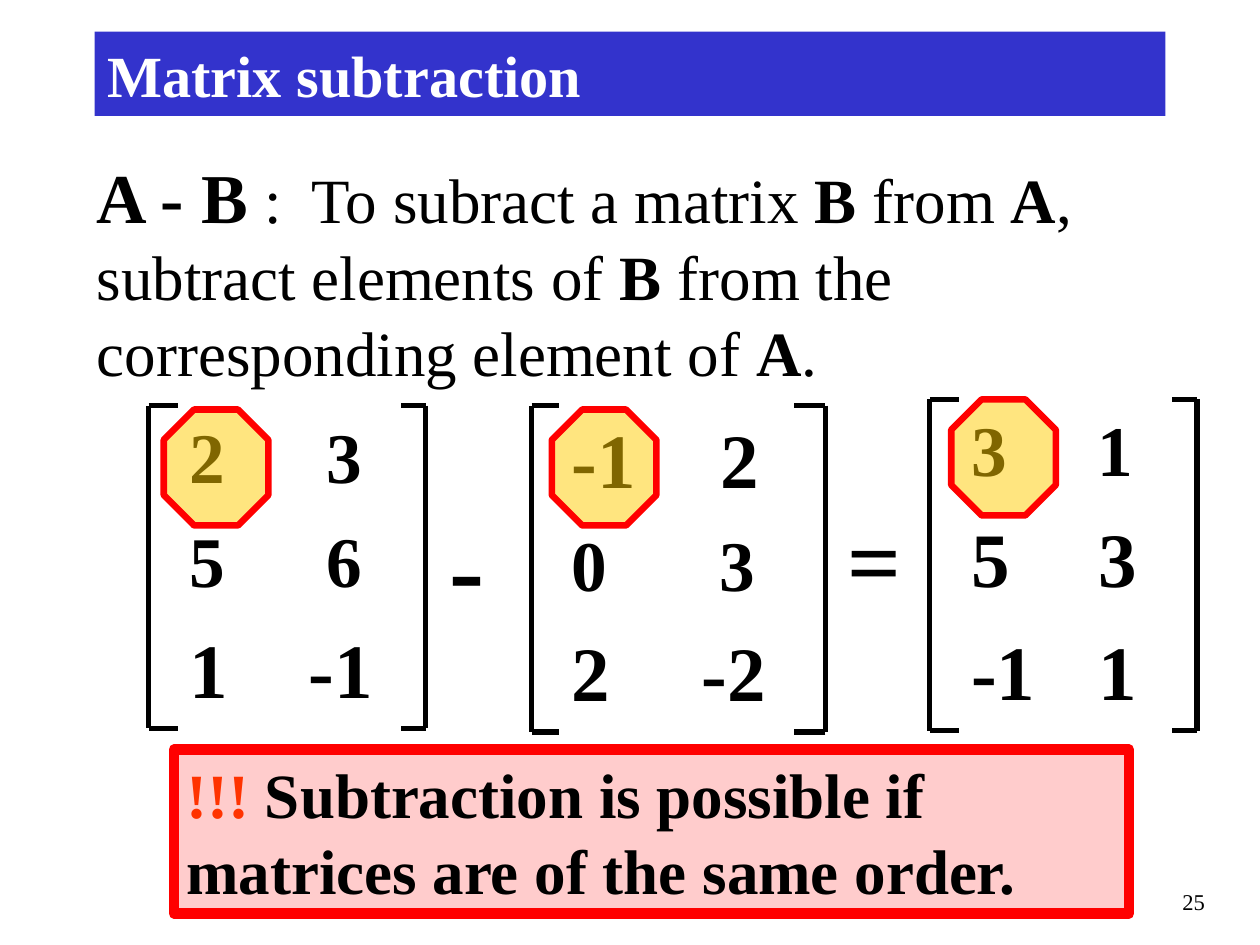
from dataclasses import dataclass

from lxml.etree import SubElement
from pptx import Presentation
from pptx.dml.color import RGBColor as Rgb
from pptx.enum.shapes import MSO_CONNECTOR as Conn, MSO_SHAPE as Shape
from pptx.enum.text import MSO_ANCHOR as Anchor, MSO_AUTO_SIZE as Fit, PP_ALIGN as Align
from pptx.oxml.ns import qn
from pptx.util import Inches, Pt


@dataclass(frozen=True)
class Theme:
    """Colours, font and type sizes of the slide."""
    font: str = "Times New Roman"
    ink: str = "000000"
    white: str = "FFFFFF"
    blue: str = "3333CC"
    gold: str = "FFCC00"
    pink: str = "FFCCCC"
    red: str = "FF0000"
    alert: str = "FF3300"
    title: float = 33.3
    lead: float = 40
    body: float = 36
    small: float = 40.7
    large: float = 44
    minus: float = 60
    equal: float = 54
    page: float = 12.9


THEME = Theme()


@dataclass(frozen=True)
class Matrix:
    """Edges, column starts, row tops, sizes and values of one matrix."""
    left: float
    cols: tuple
    right: float
    tops: tuple
    sizes: tuple
    rows: tuple


MATRICES = (
    Matrix(1.18, (1.41, 2.35, 3.18), 3.38, (3.22, 4.05, 4.88, 5.78),
           (THEME.small, THEME.small, THEME.large),
           (("2", " 3"), ("5", " 6"), ("1", "-1"))),
    Matrix(4.22, (4.44, 5.47, 6.3), 6.55, (3.22, 4.08, 4.91, 5.81),
           (THEME.large, THEME.small, THEME.large),
           (("-1", " 2"), ("0", " 3"), ("2", "-2"))),
    Matrix(7.38, (7.61, 8.47, 9.3), 9.5, (3.17, 4, 4.9, 5.8),
           (THEME.small, THEME.large, THEME.large),
           (("3", " 1"), ("5", " 3"), ("-1", " 1"))),
)


def tint(fill, color):
    """Fill solidly with a hex colour."""
    fill.solid()
    fill.fore_color.rgb = Rgb.from_string(color)


def style(run, size, color=THEME.ink, bold=True):
    """Format a run."""
    font = run.font
    font.name, font.size, font.bold = THEME.font, Pt(size), bold
    font.color.rgb = Rgb.from_string(color)


def write(frame, parts, align=Align.LEFT):
    """Write one paragraph from (text, size, colour, bold) parts."""
    frame.word_wrap = True
    para = frame.paragraphs[0]
    para.alignment = align
    for text, *look in parts:
        run = para.add_run()
        run.text = text
        style(run, *look)


def add_text(slide, box, parts, align=Align.LEFT):
    """Add a wrapped text box."""
    area = slide.shapes.add_textbox(*map(Inches, box))
    write(area.text_frame, parts, align)


def add_title(slide, text):
    """Place the title placeholder as a blue band."""
    title = slide.shapes.title
    title.left, title.top, title.width, title.height = map(Inches, (0.75, 0.25, 8.5, 0.67))
    tint(title.fill, THEME.blue)
    frame = title.text_frame
    frame.auto_size, frame.vertical_anchor = Fit.NONE, Anchor.MIDDLE
    write(frame, [(text, THEME.title, THEME.white)])


def add_line(slide, start, end):
    """Add a black straight line."""
    line = slide.shapes.add_connector(Conn.STRAIGHT, *map(Inches, start + end))
    line.line.width = Pt(3)
    line.line.color.rgb = Rgb.from_string(THEME.ink)
    SubElement(line._element.spPr, qn("a:effectLst"))


def add_bracket(slide, edge, tip, top, base):
    """Add a square bracket whose ends point from edge to tip."""
    add_line(slide, (edge, top), (edge, base))
    for y in (top, base):
        add_line(slide, (edge, y), (tip, y))


def add_matrix(slide, matrix):
    """Add the values of a matrix and its brackets."""
    cols, tops = matrix.cols, matrix.tops
    for row, size, top, base in zip(matrix.rows, matrix.sizes, tops, tops[1:]):
        for text, left, right in zip(row, cols, cols[1:]):
            add_text(slide, (left, top, right - left, base - top), [(text, size)])
    add_bracket(slide, matrix.left, cols[0], tops[0], tops[-1])
    add_bracket(slide, matrix.right, cols[-1], tops[0], tops[-1])


def add_panel(slide, kind, box, color, width):
    """Add a filled shape with a red outline."""
    panel = slide.shapes.add_shape(kind, *map(Inches, box))
    panel.shadow.inherit = False
    tint(panel.fill, color)
    panel.line.color.rgb = Rgb.from_string(THEME.red)
    panel.line.width = Pt(width)
    return panel


def add_mark(slide, left, top):
    """Add a half transparent octagon."""
    mark = add_panel(slide, Shape.OCTAGON, (left, top, 0.83, 0.92), THEME.gold, 3.75)
    mark.adjustments[0] = 0.29
    color = mark._element.spPr.find(qn("a:solidFill"))[0]
    SubElement(color, qn("a:alpha")).set("val", "50000")


def add_note(slide):
    """Add the boxed condition."""
    note = add_panel(slide, Shape.RECTANGLE, (1.38, 5.95, 7.58, 1.3), THEME.pink, 6)
    note.text_frame.vertical_anchor = Anchor.TOP
    write(note.text_frame, [
        ("!!!", THEME.body, THEME.alert),
        (" Subtraction is possible if matrices are of the same order.", THEME.body)])


def add_rule(slide):
    """Add the sentence that defines subtraction."""
    texts = (" :  To subract a matrix ", "B", " from ", "A", ", subtract elements of ",
             "B", " from the corresponding element of ", "A", ".")
    parts = [(text, THEME.body, THEME.ink, text in "AB") for text in texts]
    add_text(slide, (0.67, 1.17, 8.5, 1.97), [("A - B", THEME.lead)] + parts)


def main():
    """Build and save the slide."""
    deck = Presentation()
    deck.slide_width, deck.slide_height = Inches(10), Inches(7.5)
    slide = deck.slides.add_slide(deck.slide_layouts[5])
    add_title(slide, "Matrix subtraction")
    add_text(slide, (7.58, 7, 2.08, 0.33), [("25", THEME.page, THEME.ink, False)], Align.RIGHT)
    add_rule(slide)
    for matrix in MATRICES:
        add_matrix(slide, matrix)
    add_text(slide, (3.47, 3.93, 0.58, 2), [("-", THEME.minus)])
    add_text(slide, (6.63, 3.93, 0.58, 1.9), [("=", THEME.equal)])
    for left, top in ((1.3, 3.25), (4.38, 3.25), (7.55, 3.17)):
        add_mark(slide, left, top)
    add_note(slide)
    deck.save("out.pptx")


if __name__ == "__main__":
    main()
